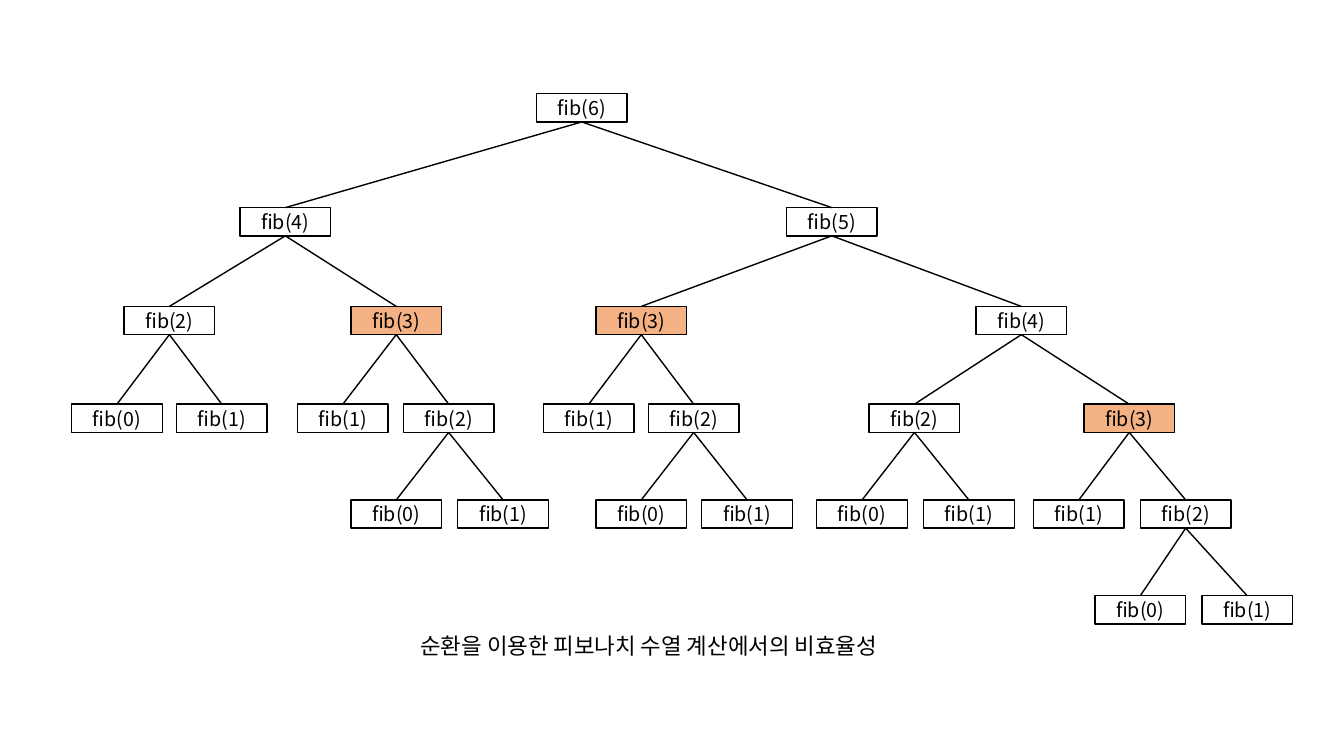
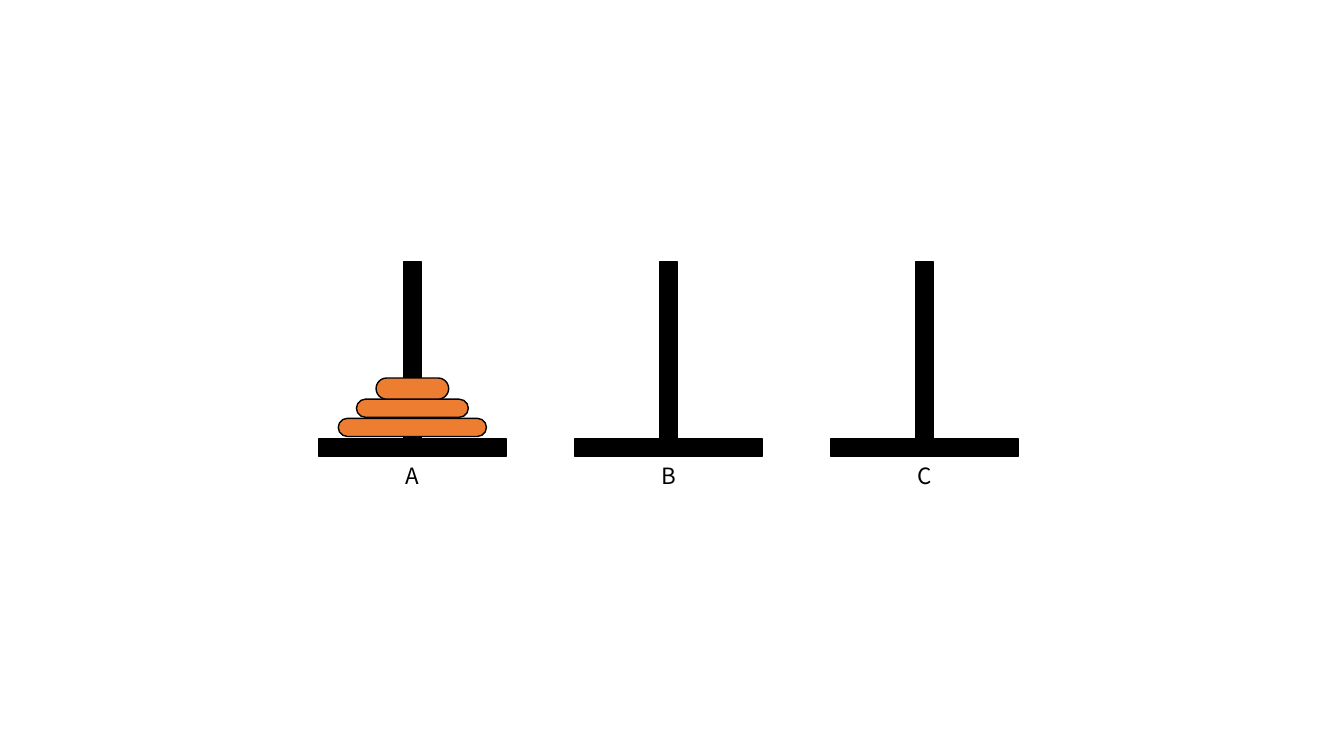
from dataclasses import dataclass

from lxml import etree
from pptx import Presentation
from pptx import util as u
from pptx.dml import color
from pptx.enum import shapes, text
from pptx.oxml import ns


@dataclass(frozen=True)
class Theme:
    ink: color.RGBColor = color.RGBColor.from_string("000000")
    repeated_call: color.RGBColor = color.RGBColor.from_string("F4B183")
    disk: color.RGBColor = color.RGBColor.from_string("ED7D31")
    font: str = "Noto Sans CJK KR"
    node_size: int = 14
    caption_size: int = 16
    line_width: float = 1


@dataclass(frozen=True)
class Box:
    left: float
    top: float
    width: float
    height: float

    def inner(self, left, top, width, height):
        return Box(self.left + left, self.top + top, width, height)

    def lengths(self):
        return [u.Inches(side) for side in (self.left, self.top, self.width, self.height)]


THEME = Theme()
NODE_WIDTH, NODE_HEIGHT = 0.9, 0.28
REPEATED_ARGUMENT = 3
LEVEL_TOPS = [0, 1.13, 2.11, 3.08, 4.03, 4.98]
LEVEL_LEFTS = [
    [4.61],
    [1.67, 7.09],
    [0.52, 2.77, 5.2, 8.97],
    [0, 1.04, 2.24, 3.29, 4.68, 5.72, 7.91, 10.04],
    [2.77, 3.83, 5.2, 6.25, 7.39, 8.45, 9.54, 10.6],
    [10.15, 11.21],
]
PEG_SPAN, BAR_HEIGHT, BASE_TOP = 2.54, 0.72, 0.91
LABEL_WIDTH, LABEL_HEIGHT, LABEL_TOP = 1.35, 0.37, 1.37
DISKS = [(1.47, 0.98, 0.18), (1.11, 0.79, 0.18), (0.72, 0.58, 0.21)]


def write(shape, words, size):
    shape.text_frame.text = words
    paragraph = shape.text_frame.paragraphs[0]
    paragraph.alignment = text.PP_ALIGN.CENTER
    for run in paragraph.runs:
        run.font.name = THEME.font
        run.font.size = u.Pt(size)
        run.font.color.rgb = THEME.ink
        east_asian = etree.SubElement(run.font._element, ns.qn("a:ea"))
        east_asian.set("typeface", THEME.font)


def outline(line):
    line.color.rgb = THEME.ink
    line.width = u.Pt(THEME.line_width)


def add_figure(slide, kind, box, fill=None):
    shape = slide.shapes.add_shape(kind, *box.lengths())
    shape.shadow.inherit = False
    if fill is None:
        shape.fill.background()
    else:
        shape.fill.solid()
        shape.fill.fore_color.rgb = fill
    outline(shape.line)
    return shape


def add_caption(slide, box, words):
    caption = slide.shapes.add_textbox(*box.lengths())
    caption.text_frame.word_wrap = True
    caption.text_frame.auto_size = text.MSO_AUTO_SIZE.SHAPE_TO_FIT_TEXT
    write(caption, words, THEME.caption_size)


def add_branch(slide, parent, child):
    branch = slide.shapes.add_connector(shapes.MSO_CONNECTOR.STRAIGHT, 0, 0, 0, 0)
    branch.begin_connect(parent, 2)
    branch.end_connect(child, 0)
    outline(branch.line)
    etree.SubElement(branch._element.spPr, ns.qn("a:effectLst"))


def add_call_tree(slide, box, argument):
    lefts = [iter(level) for level in LEVEL_LEFTS]

    def add_call(number, level):
        place = box.inner(next(lefts[level]), LEVEL_TOPS[level], NODE_WIDTH, NODE_HEIGHT)
        fill = THEME.repeated_call if number == REPEATED_ARGUMENT else None
        node = add_figure(slide, shapes.MSO_SHAPE.RECTANGLE, place, fill)
        node.text_frame.vertical_anchor = text.MSO_ANCHOR.MIDDLE
        write(node, f"fib({number})", THEME.node_size)
        if number > 1:
            for smaller in (number - 2, number - 1):
                add_branch(slide, node, add_call(smaller, level + 1))
        return node

    add_call(argument, 0)


def add_peg(slide, box, label):
    minus = shapes.MSO_SHAPE.MATH_MINUS
    pole = add_figure(slide, minus, box.inner(0, 0, box.width, BAR_HEIGHT), THEME.ink)
    pole.rotation = 90
    add_figure(slide, minus, box.inner(0, BASE_TOP, box.width, BAR_HEIGHT), THEME.ink)
    label_left = (box.width - LABEL_WIDTH) / 2
    add_caption(slide, box.inner(label_left, LABEL_TOP, LABEL_WIDTH, LABEL_HEIGHT), label)


def add_disks(slide, box):
    for width, top, height in DISKS:
        place = box.inner((box.width - width) / 2, top, width, height)
        disk = add_figure(slide, shapes.MSO_SHAPE.ROUNDED_RECTANGLE, place, THEME.disk)
        disk.adjustments[0] = 0.5


def build_fibonacci(slide, box):
    add_call_tree(slide, box, 6)
    add_caption(slide, box.inner(3, 5.29, 5.45, 0.37), "순환을 이용한 피보나치 수열 계산에서의 비효율성")


def build_hanoi(slide, box):
    pegs = [box.inner(index * PEG_SPAN, 0, PEG_SPAN, box.height) for index in range(3)]
    for peg, label in zip(pegs, "ABC"):
        add_peg(slide, peg, label)
    add_disks(slide, pegs[0])


def main():
    presentation = Presentation()
    presentation.slide_width = u.Inches(13.33)
    presentation.slide_height = u.Inches(7.5)
    blank = presentation.slide_layouts[6]
    build_fibonacci(presentation.slides.add_slide(blank), Box(0.71, 0.93, 12.11, 5.66))
    build_hanoi(presentation.slides.add_slide(blank), Box(2.82, 3.17, 3 * PEG_SPAN, 1.74))
    presentation.save("out.pptx")


main()
